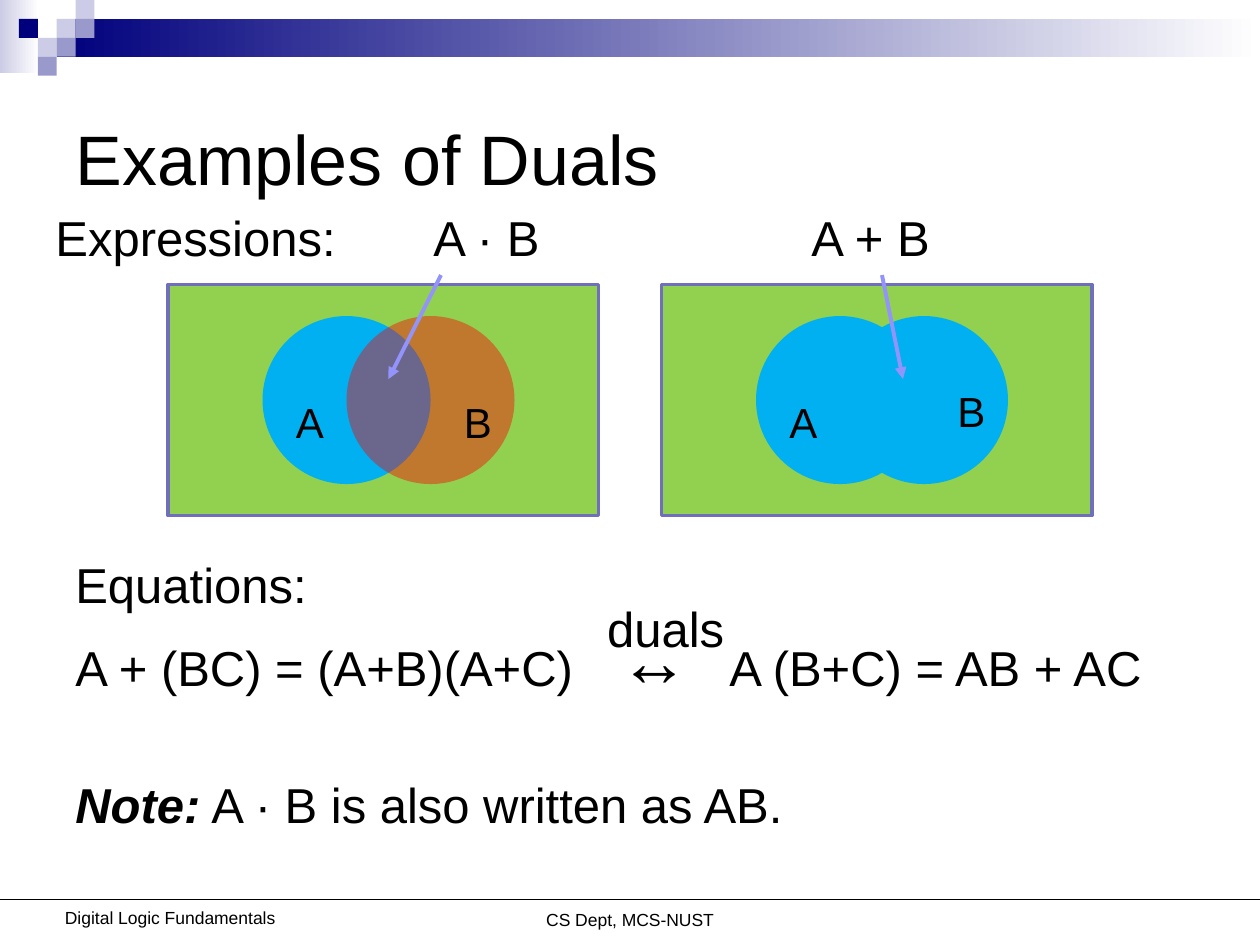
from lxml import etree
from pptx import Presentation
from pptx.dml.color import RGBColor
from pptx.enum.shapes import MSO_CONNECTOR, MSO_SHAPE
from pptx.enum.text import MSO_ANCHOR, PP_ALIGN
from pptx.oxml.ns import qn
from pptx.util import Inches, Pt

RECT, OVAL = MSO_SHAPE.RECTANGLE, MSO_SHAPE.OVAL
LINE = MSO_CONNECTOR.STRAIGHT
LEFT, CENTER = PP_ALIGN.LEFT, PP_ALIGN.CENTER
MIDDLE = MSO_ANCHOR.MIDDLE

COLORS = {
    "text": "000000", "navy": "00007D", "pale": "CCCCE6", "lilac": "9999CC",
    "white": "FFFFFF", "green": "92D050", "frame": "6F6FBC",
    "blue": "00B0F0", "red": "FF0000", "arrow": "9393FC",
}
UNIT = Inches(1) / 12  # the slide is a grid of 120 columns by 90 rows
SQUARE = 1.8           # side of a header square, in grid units


def grid(*lengths):
    return [round(n * UNIT) for n in lengths]


def rgb(name):
    return RGBColor.from_string(COLORS[name])


class Deck:
    def __init__(self):
        self.prs = Presentation()
        self.prs.slide_width, self.prs.slide_height = grid(120, 90)
        self.s = self.prs.slides.add_slide(self.prs.slide_layouts[5])

    def run(self, p, text, **font):
        r = p.add_run()
        r.text = text
        r.font.color.rgb = rgb("text")
        for key, value in {"name": "Arial", "size": Pt(28), **font}.items():
            setattr(r.font, key, value)

    def title(self, text, x, y, w, h):
        sp = self.s.shapes.title
        sp.left, sp.top, sp.width, sp.height = grid(x, y, w, h)
        tf = sp.text_frame
        tf.vertical_anchor = MIDDLE
        p = tf.paragraphs[0]
        p.alignment = LEFT
        self.run(p, text, size=Pt(40))

    def shape(self, kind, x, y, w, h, fill, line=None, fade=None, alpha=None):
        """Add a preset shape; fade is the end colour of a gradient, alpha a percentage."""
        sp = self.s.shapes.add_shape(kind, *grid(x, y, w, h))
        sp.shadow.inherit = False
        if fade:
            sp.fill.gradient()
            sp.fill.gradient_angle = 0
            for stop, name in zip(sp.fill.gradient_stops, (fill, fade)):
                stop.color.rgb = rgb(name)
        else:
            sp.fill.solid()
            sp.fill.fore_color.rgb = rgb(fill)
        if alpha:
            color = sp.fill._xPr.find(".//" + qn("a:srgbClr"))
            etree.SubElement(color, qn("a:alpha"), val=str(alpha * 1000))
        if line:
            sp.line.color.rgb = rgb(line)
            sp.line.width = Pt(2)
        else:
            sp.line.fill.background()

    def connector(self, x1, y1, x2, y2, color, width, arrow=False):
        cn = self.s.shapes.add_connector(LINE, *grid(x1, y1, x2, y2))
        cn.line.color.rgb = rgb(color)
        cn.line.width = Pt(width)
        if arrow:
            etree.SubElement(cn.line._get_or_add_ln(), qn("a:tailEnd"), type="triangle")
        etree.SubElement(cn._element.spPr, qn("a:effectLst"))

    def text(self, x, y, w, h, paragraphs):
        """Each paragraph is (runs, tab stops in inches, paragraph format)."""
        tf = self.s.shapes.add_textbox(*grid(x, y, w, h)).text_frame
        tf.word_wrap = True
        for i, (runs, tabs, fmt) in enumerate(paragraphs):
            p = tf.add_paragraph() if i else tf.paragraphs[0]
            for key, value in fmt.items():
                setattr(p, key, value)
            if tabs:
                stops = etree.SubElement(p._p.get_or_add_pPr(), qn("a:tabLst"))
                for tab in tabs:
                    etree.SubElement(stops, qn("a:tab"), pos=str(Inches(tab)), algn="l")
            for text, font in runs:
                self.run(p, text, **font)

    def label(self, text, x, y, w, h, size, align=LEFT):
        self.text(x, y, w, h, [([(text, {"size": Pt(size)})], [], {"alignment": align})])

    def header(self):
        self.shape(RECT, 0, 0, 3.7, 7, "pale", fade="white")
        self.shape(RECT, 3 * SQUARE, SQUARE, 120 - 3 * SQUARE, 3.6, "navy", fade="white")
        squares = [(3, 1, "pale"), (4, 0, "pale"), (4, 1, "lilac"), (2, 2, "pale"),
                   (1, 1, "navy"), (3, 2, "lilac"), (2, 3, "lilac")]
        for col, row, color in squares:
            self.shape(RECT, col * SQUARE, row * SQUARE, SQUARE, SQUARE, color)

    def footer(self):
        self.label("CS Dept, MCS-NUST", 35, 86, 50, 3.2, 10, CENTER)
        self.label("Digital Logic Fundamentals", 4.2, 85.8, 24, 3.2, 10, CENTER)
        self.connector(0, 85.7, 120, 85.7, "text", 0.75)

    def venn(self, x, second, arrow_from, arrow_to, b_row, alpha=None):
        """Draw a framed pair of sets A and B with an arrow, offsets from column x."""
        self.shape(RECT, x, 27.1, 41, 22, "green", line="frame")
        self.shape(OVAL, x + 9, 30.1, 16, 16, "blue")
        self.shape(OVAL, x + 17, 30.1, 16, 16, second, alpha=alpha)
        self.connector(x + arrow_from, 26.2, x + arrow_to, 36.1, "arrow", 2.25, arrow=True)
        self.label("A", x + 11, 37.2, 5, 6, 24)
        self.label("B", x + 27, b_row, 5, 6, 24)


def main():
    deck = Deck()
    deck.header()
    deck.footer()
    deck.title("Examples of Duals", 6, 6, 108, 18)
    deck.venn(16, "red", 26, 21, 37.2, alpha=42)
    deck.venn(63, "blue", 21, 23, 36.1)
    deck.text(4.1, 19.2, 100, 6.8, [([("Expressions:\tA · B\tA + B", {})], [3, 6], {})])
    tight = {"line_spacing": Pt(25)}
    deck.text(6, 52.2, 110, 27.8, [
        ([("Equations:", {})], [], {}),
        ([("\tduals", {})], [4.22], tight),
        ([("A + (BC) = (A+B)(A+C)\t", {}), ("↔", {"size": Pt(40)}),
          ("\tA (B+C) = AB + AC", {})], [4.32, 5.19], tight),
        ([("Note:", {"bold": True, "italic": True}),
          (" A · B is also written as AB.", {})], [],
         {"line_spacing": Pt(38), "space_before": Pt(38)}),
    ])
    deck.prs.save("out.pptx")


if __name__ == "__main__":
    main()
